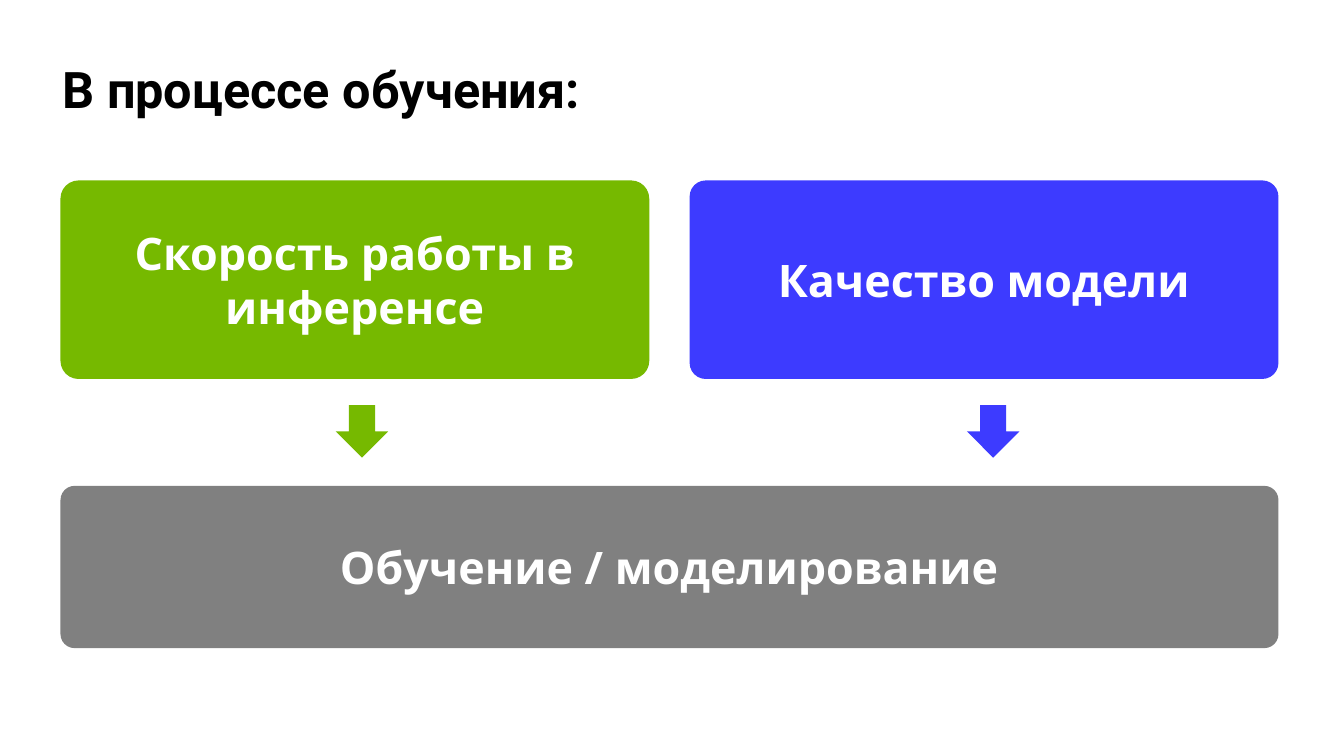
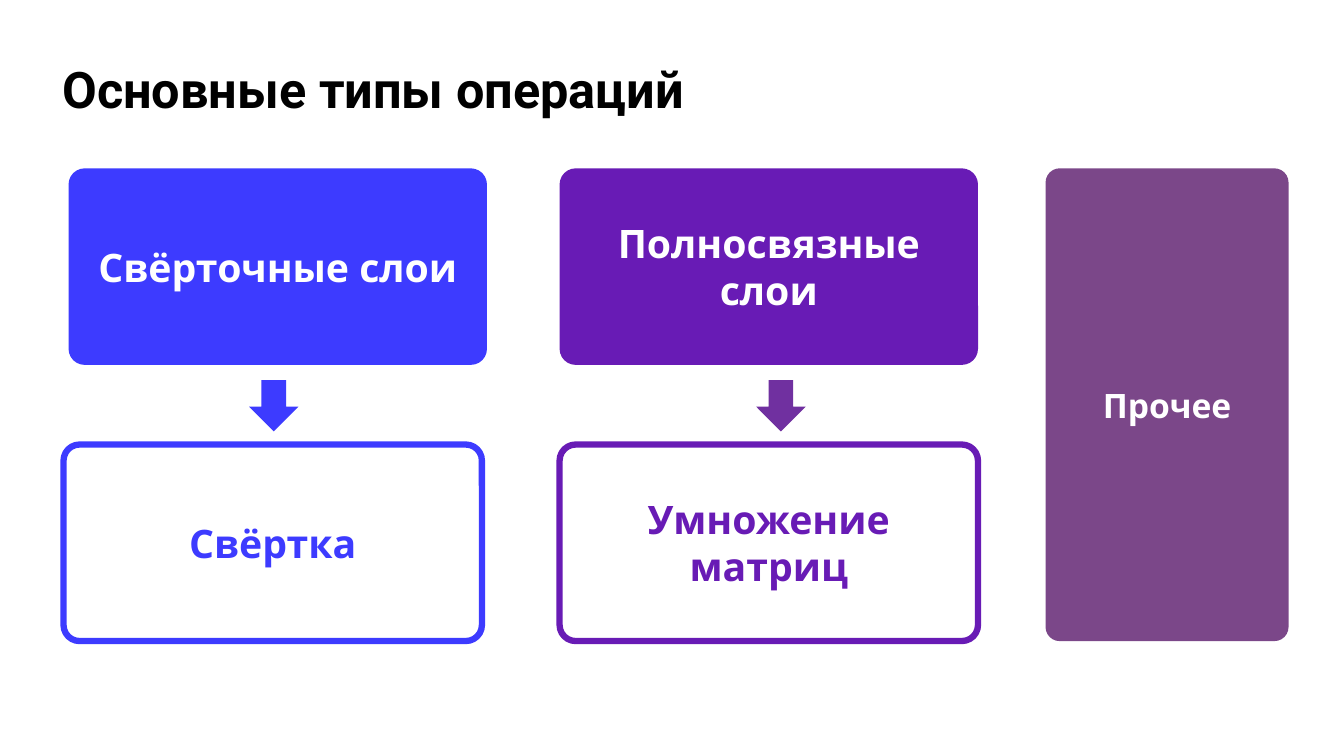
from pptx import Presentation
from pptx.dml.color import RGBColor
from pptx.enum import shapes, text
from pptx.util import Pt

PX = 9144  # 100 px to the inch
BLACK, WHITE, GRAY = "000000", "FFFFFF", "808080"
GREEN, BLUE, VIOLET = "76B900", "3D3BFF", "681BB5"
PURPLE, PLUM = "7030A0", "7B4789"


def emu(*sizes):
    return [size * PX for size in sizes]


def paint(part, color):
    """Give a fill or a line format one solid colour."""
    part.fore_color.rgb = RGBColor.from_string(color)


def write(frame, words, font, size, color):
    frame.word_wrap = True
    frame.vertical_anchor = text.MSO_ANCHOR.MIDDLE
    para = frame.paragraphs[0]
    para.text = words
    para.font.name, para.font.size, para.font.bold = font, Pt(size), True
    para.font.color.rgb = RGBColor.from_string(color)
    return para


def title(slide, words):
    box = slide.shapes.add_textbox(*emu(52, 55, 1269, 72))
    write(box.text_frame, words, "Roboto", 36, BLACK).line_spacing = 0.9


def solid(slide, kind, box, color):
    shape = slide.shapes.add_shape(kind, *emu(*box))
    shape.shadow.inherit = False
    shape.fill.solid()
    paint(shape.fill, color)
    shape.line.fill.background()
    return shape


def card(slide, box, words, size, color, radius=16, hollow=False):
    """Rounded box with a centred label; a hollow one has only an outline."""
    shape = solid(slide, shapes.MSO_SHAPE.ROUNDED_RECTANGLE, box, color)
    shape.adjustments[0] = radius / min(box[2:])
    if hollow:
        shape.fill.background()
        shape.line.fill.solid()
        paint(shape.line.fill, color)
        shape.line.width = Pt(4.5)
    para = write(shape.text_frame, words, "Open Sans", size,
                 color if hollow else WHITE)
    para.alignment = text.PP_ALIGN.CENTER


def arrow(slide, box, color):
    solid(slide, shapes.MSO_SHAPE.DOWN_ARROW, box, color)


def training(slide, left, top, width):
    """Two goals side by side that lead down to one wide bar."""
    gap = 40
    wide = (width - gap) // 2
    goals = [("Скорость работы в инференсе", GREEN, 273, 18),
             ("Качество модели", BLUE, 899, 16)]
    for i, (words, color, shift, radius) in enumerate(goals):
        x = left + i * (wide + gap)
        card(slide, (x, top, wide, 197), words, 32, color, radius)
        arrow(slide, (left + shift, top + 223, 52, 52), color)
    card(slide, (left, top + 303, width, 161),
         "Обучение / моделирование", 32, GRAY, 14)


def layers(slide, left, top, height):
    """Layer types above their operations, with a tall card at the right."""
    wide, tall = 415, 195
    low = top + height - tall
    pairs = [(5, 0, 184, "Свёрточные слои", "Свёртка", BLUE, BLUE),
             (492, 492, 687, "Полносвязные слои", "Умножение матриц",
              VIOLET, PURPLE)]
    for upper, lower, tip, layer, action, color, accent in pairs:
        card(slide, (left + upper, top, wide, tall), layer, 28, color)
        card(slide, (left + lower, low, wide, tall), action, 28, color,
             hollow=True)
        arrow(slide, (left + tip, top + 210, 49, 51), accent)
    card(slide, (left + 974, top, 241, height), "Прочее", 24, PLUM, 14)


def main():
    deck = Presentation()
    deck.slide_width, deck.slide_height = emu(1333, 750)
    pages = [("В процессе обучения:", training, (60, 179, 1208)),
             ("Основные типы операций", layers, (63, 167, 469))]
    for words, draw, place in pages:
        slide = deck.slides.add_slide(deck.slide_layouts[6])
        title(slide, words)
        draw(slide, *place)
    deck.save("out.pptx")


if __name__ == "__main__":
    main()
